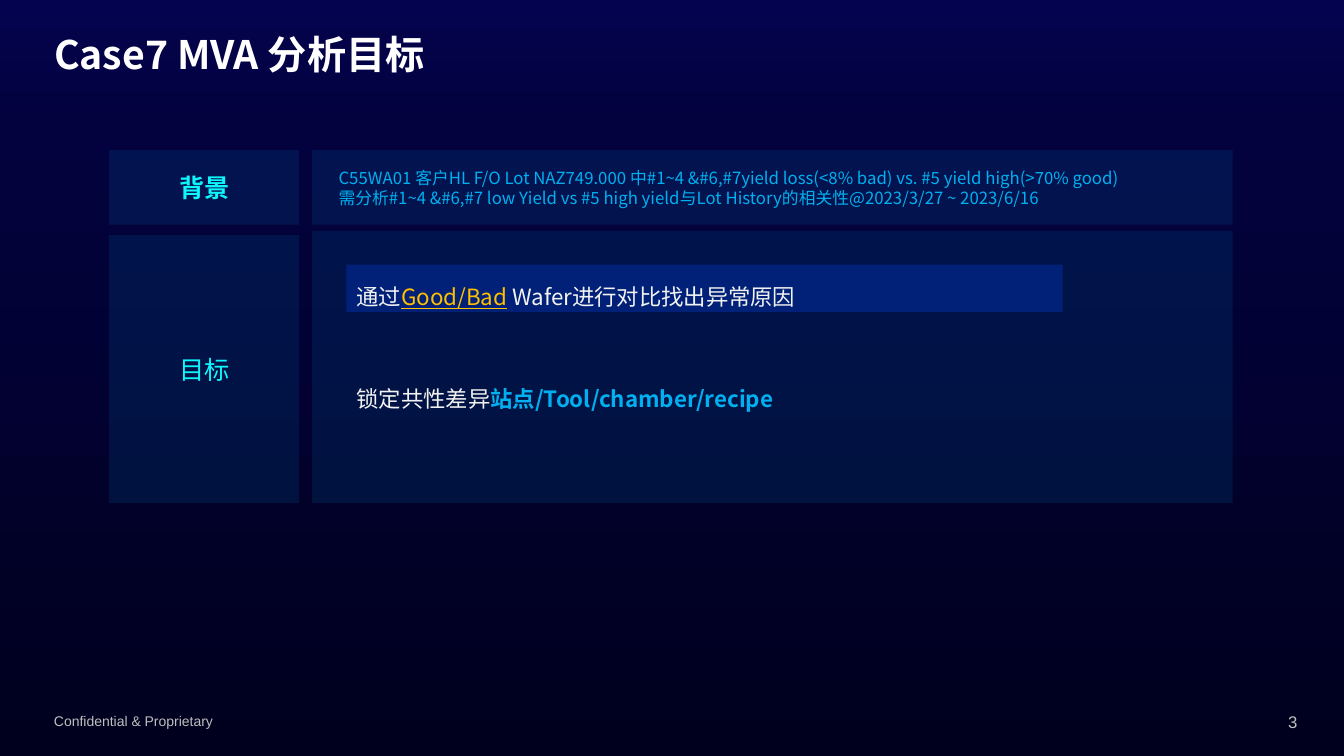
from copy import deepcopy
from dataclasses import dataclass

from pptx import Presentation
from pptx.dml.color import RGBColor
from pptx.enum.shapes import MSO_SHAPE
from pptx.enum.text import MSO_ANCHOR, PP_ALIGN
from pptx.oxml import parse_xml
from pptx.oxml.ns import nsdecls, qn
from pptx.oxml.xmlchemy import OxmlElement
from pptx.util import Pt

EMU_PER_PX = 9525


@dataclass(frozen=True)
class Theme:
    background = ((0, "04034F"), (0.16, "03023F"), (1, "00001E"))
    blue = "00B0F0"
    cyan = "0EF6FB"
    white = "FFFFFF"
    text = "F2F2F2"
    gold = "FFC000"
    grey = "BFBFBF"
    highlight = "002177"
    panel_opacity = 10
    font = "Noto Sans CJK SC"
    footer_font = "Arial"
    title_size = 28
    label_size = 18
    goal_size = 16
    note_size = 12
    number_size = 12
    footer_size = 10


THEME = Theme()
GOAL_FORMAT = {"alignment": PP_ALIGN.JUSTIFY, "line_spacing": 1.5,
               "space_before": Pt(0), "space_after": Pt(12)}


def emu(box):
    return [length * EMU_PER_PX for length in box]


def apply(target, values):
    for name, value in values.items():
        setattr(target, name, value)


def add_run(paragraph, text, size, color, font=THEME.font, **styles):
    run = paragraph.add_run()
    run.text = text
    apply(run.font, {"size": Pt(size), "name": font, "bold": False, **styles})
    run.font.color.rgb = RGBColor.from_string(color)
    east_asian = OxmlElement("a:ea")
    east_asian.set("typeface", font)
    run.font._element.find(qn("a:latin")).addnext(east_asian)
    return run


def prepare_frame(shape, anchor=MSO_ANCHOR.TOP):
    apply(shape.text_frame, {"word_wrap": True, "vertical_anchor": anchor})
    return shape.text_frame


def place(shape, box):
    apply(shape, dict(zip(("left", "top", "width", "height"), emu(box))))


def paint_background(slide):
    fill = slide.background.fill
    fill.gradient()
    fill.gradient_angle = 270
    stops = slide.element.find(".//" + qn("a:gsLst"))
    stops.insert(1, deepcopy(stops[0]))
    for stop, (position, color) in zip(fill.gradient_stops, THEME.background):
        stop.position = position
        stop.color.rgb = RGBColor.from_string(color)


def add_rectangle(slide, box, color, opacity=100):
    shape = slide.shapes.add_shape(MSO_SHAPE.RECTANGLE, *emu(box))
    shape.shadow.inherit = False
    shape.line.fill.background()
    shape.fill.solid()
    shape.fill.fore_color.rgb = RGBColor.from_string(color)
    if opacity < 100:
        alpha = OxmlElement("a:alpha")
        alpha.set("val", str(opacity * 1000))
        shape.fill._xPr.find(".//" + qn("a:srgbClr")).append(alpha)
    return shape


def add_panel(slide, box):
    return add_rectangle(slide, box, THEME.blue, THEME.panel_opacity)


def add_label(slide, box, text, bold):
    paragraph = prepare_frame(add_panel(slide, box), MSO_ANCHOR.MIDDLE).paragraphs[0]
    paragraph.alignment = PP_ALIGN.CENTER
    add_run(paragraph, text, THEME.label_size, THEME.cyan, bold=bold)


def add_text(slide, box, lines, size, color, font=THEME.font, alignment=PP_ALIGN.LEFT):
    frame = prepare_frame(slide.shapes.add_textbox(*emu(box)))
    for index, line in enumerate(lines):
        paragraph = frame.add_paragraph() if index else frame.paragraphs[0]
        paragraph.alignment = alignment
        add_run(paragraph, line, size, color, font)


def write_goal(shape, pieces):
    paragraph = prepare_frame(shape).paragraphs[0]
    apply(paragraph, GOAL_FORMAT)
    for text, color, styles in pieces:
        add_run(paragraph, text, THEME.goal_size, color, **styles)
    return paragraph


def fill_title(slide, box):
    title = slide.shapes.title
    place(title, box)
    paragraph = prepare_frame(title, MSO_ANCHOR.MIDDLE).paragraphs[0]
    apply(paragraph, {"alignment": PP_ALIGN.LEFT, "line_spacing": 0.9})
    run = add_run(paragraph, "Case7 MVA 分析目标", THEME.title_size, THEME.white, bold=True)
    run.font._element.find(qn("a:solidFill")).addnext(parse_xml(
        f'<a:effectLst {nsdecls("a")}><a:outerShdw blurRad="38100" dist="38100" dir="2700000">'
        '<a:srgbClr val="000000"><a:alpha val="43000"/></a:srgbClr></a:outerShdw></a:effectLst>'))


def add_background_row(slide, left, top, width, height, label_width, gap):
    add_label(slide, (left, top, label_width, height), "背景", True)
    panel_left = left + label_width + gap
    panel_width = width - label_width - gap
    add_panel(slide, (panel_left, top, panel_width, height))
    add_text(slide, (panel_left + 16, top + 12, panel_width - 34, 48), (
        "C55WA01 客户HL F/O Lot NAZ749.000 中#1~4 &#6,#7yield loss(<8% bad) vs. #5 yield high(>70% good)",
        "需分析#1~4 &#6,#7 low Yield vs #5 high yield与Lot History的相关性@2023/3/27 ~ 2023/6/16",
    ), THEME.note_size, THEME.blue)


def add_goal_row(slide, left, top, width, height, label_width, gap):
    add_label(slide, (left, top + 4, label_width, height - 4), "目标", False)
    panel_left = left + label_width + gap
    add_panel(slide, (panel_left, top, width - label_width - gap, height))
    goal_left, goal_width = panel_left + 33, 682
    highlight = add_rectangle(slide, (goal_left, top + 32, goal_width, 45), THEME.highlight)
    write_goal(highlight, (
        ("通过", THEME.text, {}),
        ("Good/Bad", THEME.gold, {"underline": True}),
        (" ", THEME.gold, {}),
        ("Wafer进行对比找出异常原因", THEME.text, {}),
    ))
    body = slide.placeholders[1]
    place(body, (goal_left, top + 129, goal_width, 48))
    paragraph = write_goal(body, (
        ("锁定共性差异", THEME.text, {}),
        ("站点/Tool/chamber/recipe", THEME.blue, {"bold": True}),
    ))
    properties = paragraph._p.get_or_add_pPr()
    apply_indent = {"marL": "0", "indent": "0"}
    for name, value in apply_indent.items():
        properties.set(name, value)
    properties.append(OxmlElement("a:buNone"))
    slide.shapes._spTree.append(body._element)


def add_footer(slide, left, top, width):
    add_text(slide, (left, top, 432, 26), ["Confidential & Proprietary"],
             THEME.footer_size, THEME.grey, THEME.footer_font)
    add_text(slide, (left + width - 48, top - 1, 48, 29), ["3"],
             THEME.number_size, THEME.grey, THEME.footer_font, PP_ALIGN.RIGHT)


def main():
    presentation = Presentation()
    apply(presentation, dict(zip(("slide_width", "slide_height"), emu((1280, 720)))))
    slide = presentation.slides.add_slide(presentation.slide_layouts[1])
    paint_background(slide)
    fill_title(slide, (42, 29, 968, 51))
    columns = {"left": 104, "width": 1070, "label_width": 181, "gap": 12}
    add_background_row(slide, top=143, height=71, **columns)
    add_goal_row(slide, top=220, height=259, **columns)
    add_footer(slide, 42, 674, 1203)
    presentation.save("out.pptx")


if __name__ == "__main__":
    main()
